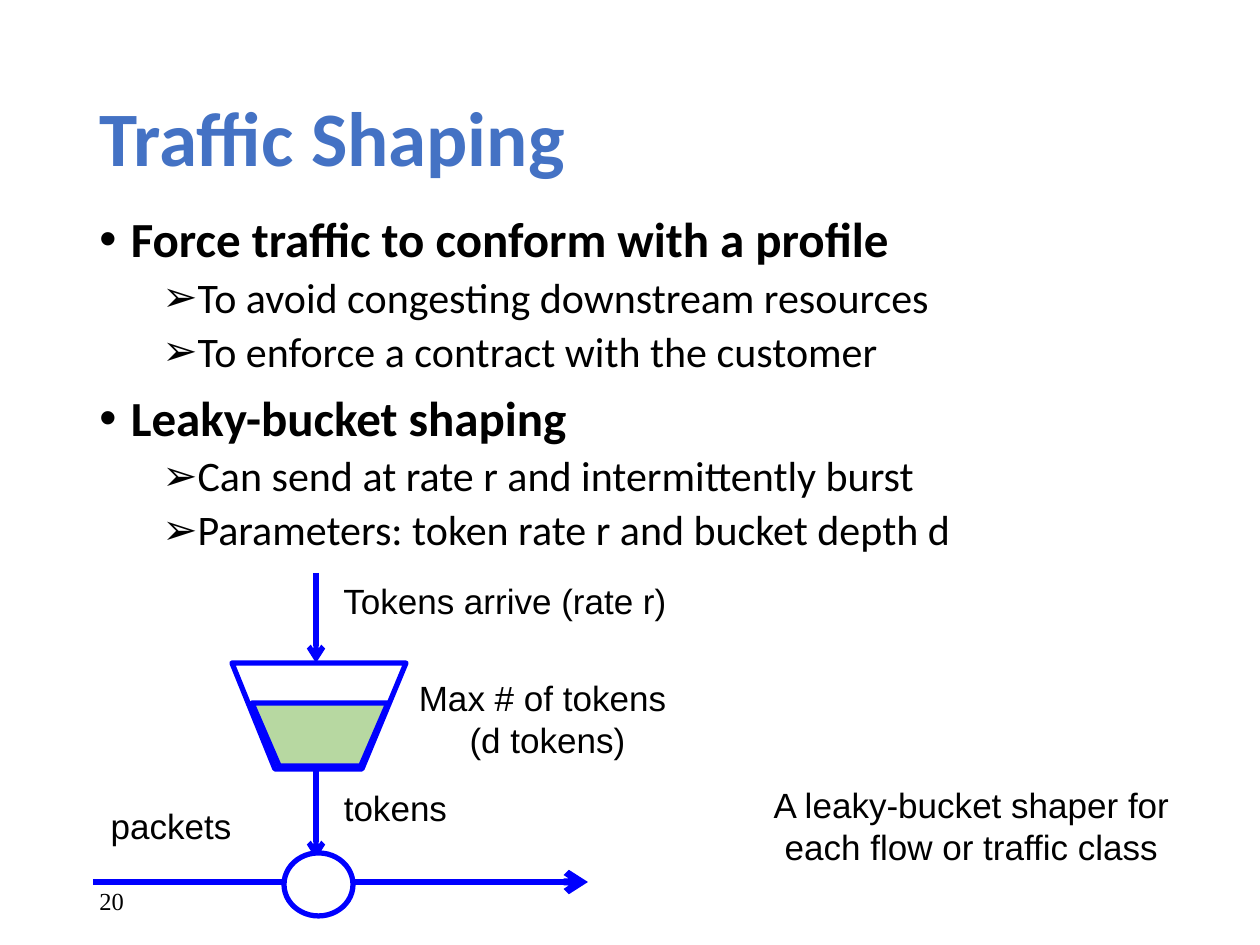
"""Builds the Traffic Shaping slide with a leaky-bucket diagram."""
import pptx
import pptx.dml.color
import pptx.enum.shapes
import pptx.enum.text
import pptx.oxml.ns
import pptx.util
from lxml import etree

EMU_PER_PX = 914400 / 126
BLUE, GREEN, WHITE, BLACK, HEADING = "0000FF", "B7D8A1", "FFFFFF", "000000", "4472C4"
ALIGN = pptx.enum.text.PP_ALIGN
ANCHOR = pptx.enum.text.MSO_ANCHOR
SHAPE = pptx.enum.shapes.MSO_SHAPE


def px(length):
    """Turn pixels into EMU."""
    return pptx.util.Emu(round(length * EMU_PER_PX))


def color(value):
    """Turn a hex string into a colour."""
    return pptx.dml.color.RGBColor.from_string(value)


def add_xml(parent, tag, **attributes):
    """Append a drawing element with the given attributes."""
    element = etree.SubElement(parent, pptx.oxml.ns.qn(tag))
    for name, value in attributes.items():
        element.set(name, str(value))
    return element


class SlideBuilder:
    """Holds the style and the slide being built."""

    label = {"size": 20, "name": "Arial"}
    topic = {"size": 28, "name": "Calibri", "bold": True}
    detail = {"size": 24, "name": "Calibri", "bold": False}

    def __init__(self, slide):
        """Keep the slide to draw on."""
        self.slide = slide

    def fill_paragraph(self, paragraph, words, font, **layout):
        """Fill a paragraph and set its font and layout."""
        run = paragraph.add_run()
        run.text = words
        values = {"color": BLACK, **font}
        run.font.color.rgb = color(values.pop("color"))
        values["size"] = pptx.util.Pt(values["size"])
        for name, value in values.items():
            setattr(run.font, name, value)
        for name, value in layout.items():
            setattr(paragraph, name, value)

    def text(self, box, lines, font, wrap=True, anchor=ANCHOR.TOP, **layout):
        """Add a text box with one paragraph per line."""
        frame = self.slide.shapes.add_textbox(*map(px, box)).text_frame
        frame.word_wrap = wrap
        frame.vertical_anchor = anchor
        for index, words in enumerate(lines):
            paragraph = frame.add_paragraph() if index else frame.paragraphs[0]
            self.fill_paragraph(paragraph, words, font, **layout)

    def outline(self, box, topics):
        """Add a two-level bulleted list."""
        frame = self.slide.shapes.add_textbox(*map(px, box)).text_frame
        frame.word_wrap = True
        entries = []
        for topic, details in topics.items():
            entries.append((topic, 0, self.topic, 10, 0.25, "•"))
            entries += [(detail, 1, self.detail, 5, 0.75, "➢") for detail in details]
        for index, (words, level, font, before, margin, bullet) in enumerate(entries):
            paragraph = frame.add_paragraph() if index else frame.paragraphs[0]
            self.fill_paragraph(paragraph, words, font, level=level, line_spacing=0.9,
                                space_before=pptx.util.Pt(before))
            properties = paragraph._p.get_or_add_pPr()
            properties.set("marL", str(pptx.util.Inches(margin)))
            properties.set("indent", str(pptx.util.Inches(-0.25)))
            add_xml(properties, "a:buFont", typeface="Arial")
            add_xml(properties, "a:buChar", char=bullet)

    def paint(self, shape, fill=None):
        """Give a shape its fill and blue outline."""
        shape.shadow.inherit = False
        if fill:
            shape.fill.solid()
            shape.fill.fore_color.rgb = color(fill)
        else:
            shape.fill.background()
        shape.line.color.rgb = color(BLUE)
        shape.line.width = pptx.util.Pt(3)

    def shape(self, kind, box, fill):
        """Add a preset shape."""
        self.paint(self.slide.shapes.add_shape(kind, *map(px, box)), fill)

    def polygon(self, points):
        """Add a closed, unfilled outline."""
        corners = [(px(x), px(y)) for x, y in points]
        builder = self.slide.shapes.build_freeform(*corners[0])
        builder.add_line_segments(corners[1:], close=True)
        self.paint(builder.convert_to_shape())

    def arrow(self, start, end, width=3):
        """Add a straight line with an open arrowhead at its end."""
        connector = self.slide.shapes.add_connector(
            pptx.enum.shapes.MSO_CONNECTOR.STRAIGHT, *map(px, start + end))
        connector.line.color.rgb = color(BLUE)
        connector.line.width = pptx.util.Pt(width)
        add_xml(connector.line._get_or_add_ln(), "a:tailEnd", type="arrow")
        add_xml(connector._element.spPr, "a:effectLst")


def main():
    """Build and save the slide."""
    deck = pptx.Presentation()
    deck.slide_width, deck.slide_height = px(1260), px(945)
    page = SlideBuilder(deck.slides.add_slide(deck.slide_layouts[6]))

    page.text((87, 50, 1086, 183), ["Traffic Shaping"],
              {"size": 44, "name": "Calibri", "bold": True, "color": HEADING},
              anchor=ANCHOR.MIDDLE, line_spacing=0.9)
    page.outline((87, 209, 1086, 600), {
        "Force traffic to conform with a profile": [
            "To avoid congesting downstream resources",
            "To enforce a contract with the customer"],
        "Leaky-bucket shaping": [
            "Can send at rate r and intermittently burst",
            "Parameters: token rate r and bucket depth d"],
    })
    page.text((87, 876, 284, 50), ["20"], {"size": 14, "name": "Times New Roman"},
              anchor=ANCHOR.MIDDLE)

    bucket_top, bucket_bottom, stream_x = 663, 769, 316
    page.polygon([(232, bucket_top), (275, bucket_bottom),
                  (362, bucket_bottom), (406, bucket_top)])
    page.arrow((93, 882), (588, 882), width=4)
    page.arrow((stream_x, bucket_bottom), (stream_x, 859))
    page.shape(SHAPE.OVAL, (284, 853, 69, 63), WHITE)
    page.arrow((stream_x, 573), (stream_x, bucket_top))

    for box, lines in (
        ((319, 573, 372, 54), ["Tokens arrive (rate r)"]),
        ((399, 670, 297, 97), ["Max # of tokens ", "(d tokens)"]),
        ((93, 798, 156, 54), ["packets"]),
        ((326, 780, 139, 54), ["tokens"]),
    ):
        page.text(box, lines, page.label, wrap=False, alignment=ALIGN.CENTER)
    page.text((746, 777, 451, 97),
              ["A leaky-bucket shaper for each flow or traffic class"],
              page.label, alignment=ALIGN.CENTER)
    page.shape(SHAPE.FLOWCHART_MANUAL_OPERATION, (252, 703, 136, 63), GREEN)

    deck.save("out.pptx")


if __name__ == "__main__":
    main()
